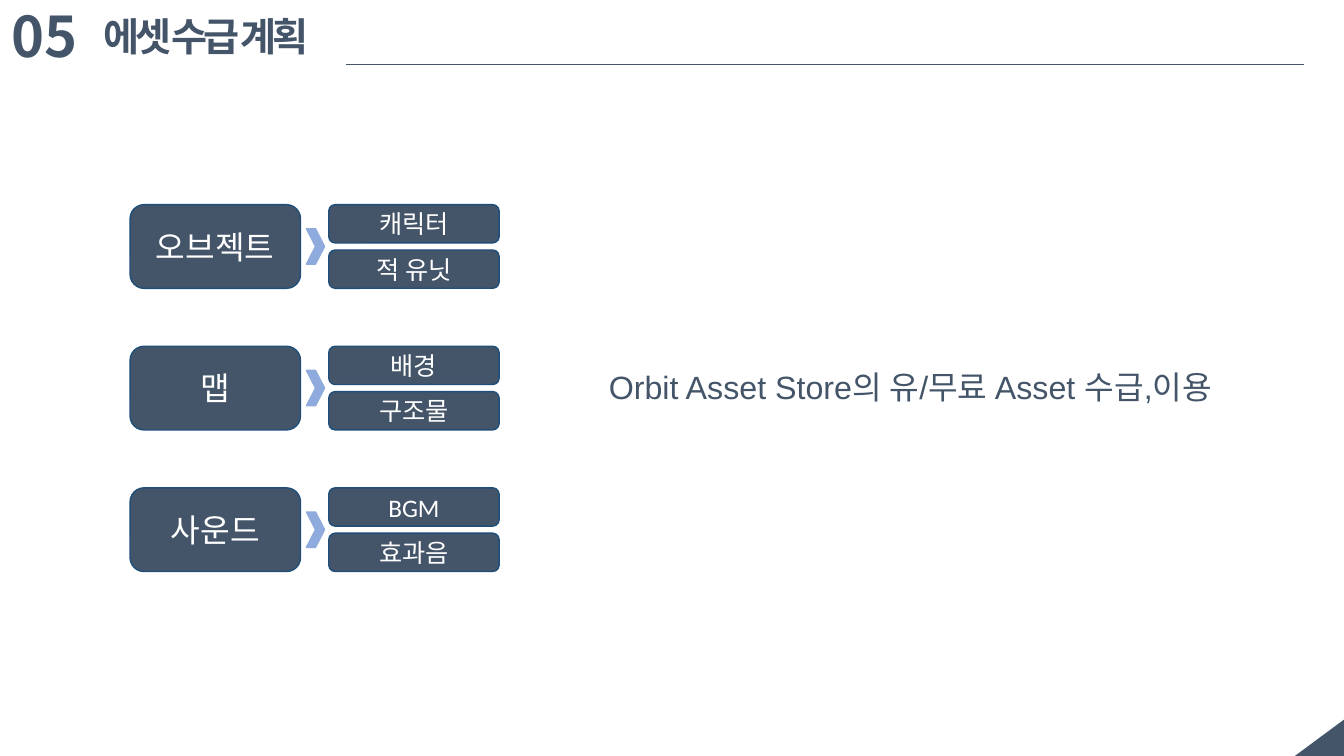
from lxml import etree
from pptx import Presentation, util as u
from pptx.dml.color import RGBColor
from pptx.enum import shapes as sh, text as tx
from pptx.oxml.ns import qn

HEX = {"slate": "445569", "edge": "1F4E79", "arrow": "8FAADC", "white": "FFFFFF"}
GROUPS = [("오브젝트", ("캐릭터", "적 유닛")),
          ("맵", ("배경", "구조물")),
          ("사운드", ("BGM", "효과음"))]
KIND = sh.MSO_SHAPE


def rgb(name):
    return RGBColor.from_string(HEX[name])


class Deck:
    """Draws on one slide; lengths are percent of its width and height."""

    def __init__(self):
        self.prs = Presentation()
        self.prs.slide_width = u.Inches(13.33)
        self.prs.slide_height = u.Inches(7.5)
        self.slide = self.prs.slides.add_slide(self.prs.slide_layouts[6])
        self.items = self.slide.shapes

    def scale(self, x, y):
        return (round(self.prs.slide_width * x / 100),
                round(self.prs.slide_height * y / 100))

    def area(self, x, y, w, h):
        return *self.scale(x, y), *self.scale(w, h)

    def put(self, frame, words, size, font, color, bold=False):
        """Fills a text frame with one styled run and returns the run."""
        frame.word_wrap = True
        para = frame.paragraphs[0]
        run = para.add_run()
        run.text = words
        face = para.font
        face.name, face.size, face.bold = font, u.Pt(size), bold
        face.color.rgb = rgb(color)
        return run

    def label(self, box, words, size, font="Arial", bold=False, track=0):
        """Adds plain text; track is letter spacing in points."""
        frame = self.items.add_textbox(*self.area(*box)).text_frame
        run = self.put(frame, words, size, font, "slate", bold)
        if track:
            run._r.get_or_add_rPr().set("spc", str(track * 100))

    def shape(self, kind, box, fill="slate", edge=None):
        item = self.items.add_shape(kind, *self.area(*box))
        item.shadow.inherit = False
        item.fill.solid()
        item.fill.fore_color.rgb = rgb(fill)
        if edge:
            item.line.color.rgb = rgb(edge)
            item.line.width = u.Pt(1)
        else:
            item.line.fill.background()
        return item

    def card(self, box, words, size):
        item = self.shape(KIND.ROUNDED_RECTANGLE, box, edge="edge")
        frame = item.text_frame
        frame.margin_top = frame.margin_bottom = 0
        frame.vertical_anchor = tx.MSO_ANCHOR.MIDDLE
        self.put(frame, words, size, "Calibri", "white")
        frame.paragraphs[0].alignment = tx.PP_ALIGN.CENTER

    def rule(self, x1, x2, y):
        line = self.items.add_connector(
            sh.MSO_CONNECTOR.STRAIGHT, *self.scale(x1, y), *self.scale(x2, y))
        line.line.color.rgb = rgb("slate")
        line.line.width = u.Pt(0.75)
        etree.SubElement(line._element.spPr, qn("a:effectLst"))

    def group(self, y, head, parts):
        """Draws a heading card, a chevron and its stacked parts."""
        self.card((9.68, y, 12.68, 11.07), head, 23)
        for i, part in enumerate(parts):
            self.card((24.46, y + 6 * i, 12.68, 5.07), part, 18)
        self.shape(KIND.CHEVRON, (22.8, y + 3.2, 1.35, 4.67), "arrow", "arrow")


def main():
    deck = Deck()
    corner = deck.shape(KIND.RIGHT_TRIANGLE, (96.77, 94.27, 2.78, 6.67))
    corner.rotation = 270
    deck.label((0.15, -0.4, 9.53, 10.27), "05", 40, "Noto Sans CJK KR", True)
    deck.label((6.98, 0.93, 18.75, 7.6), "에셋 수급 계획", 28, bold=True, track=-3)
    deck.rule(25.73, 97, 8.53)
    for i, (head, parts) in enumerate(GROUPS):
        deck.group(27.07 + 18.73 * i, head, parts)
    deck.label((44.56, 48, 52.36, 6.53),
               "Orbit Asset Store의 유/무료 Asset 수급,이용", 23)
    deck.prs.save("out.pptx")


if __name__ == "__main__":
    main()
